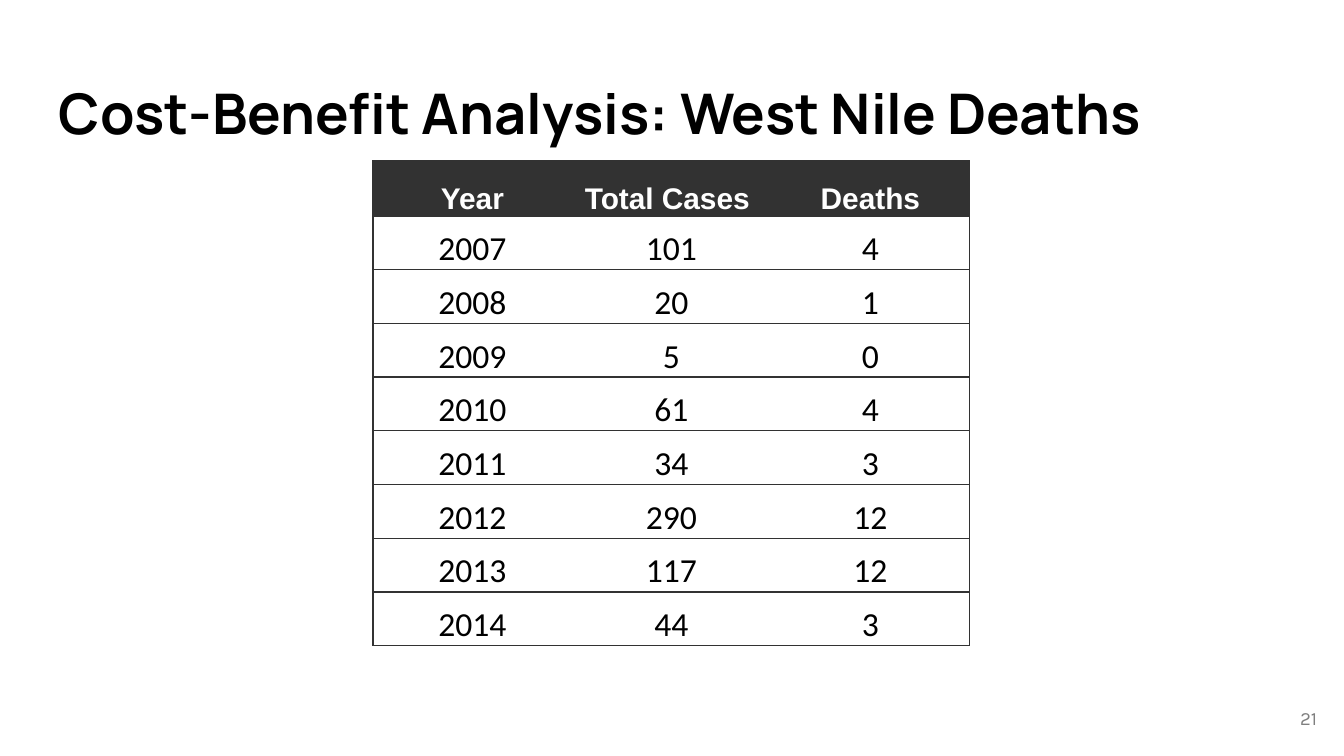
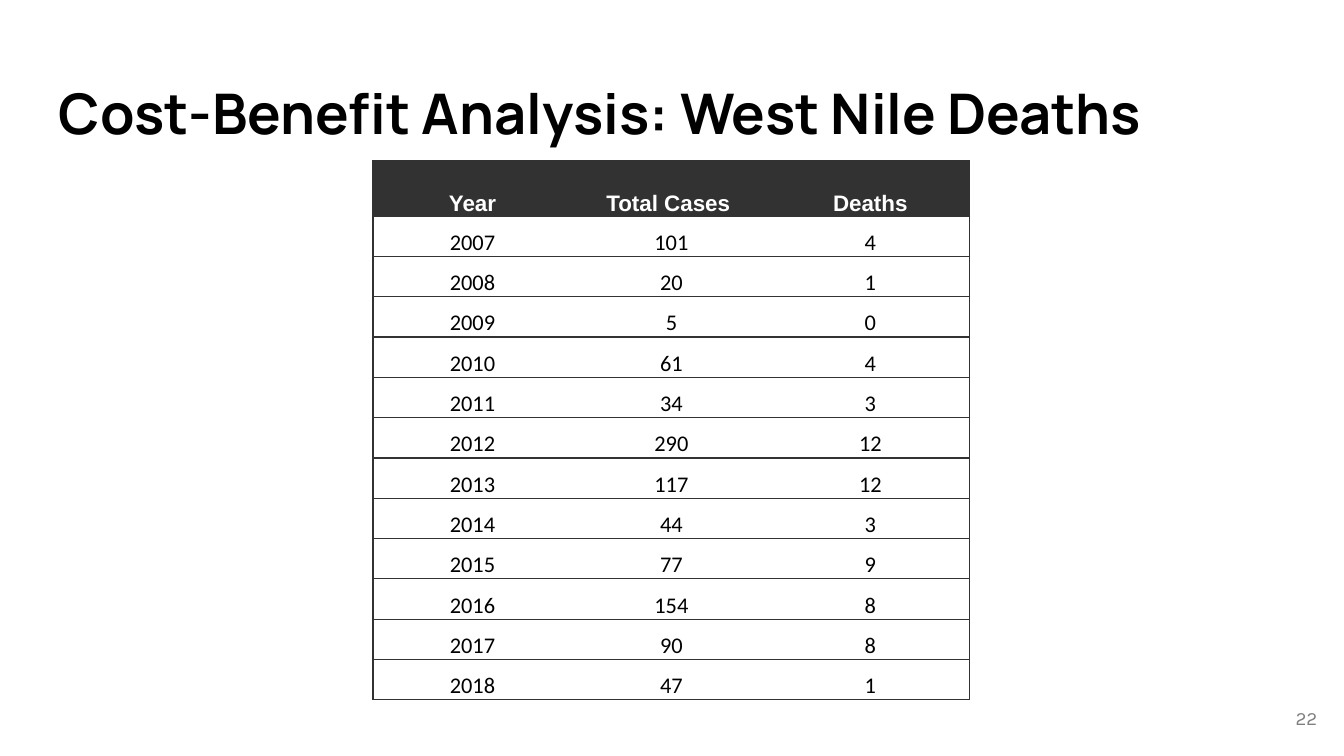
from lxml.etree import SubElement
from pptx import Presentation
from pptx.dml.color import RGBColor
from pptx.enum.text import MSO_ANCHOR as Anchor, PP_ALIGN as Align
from pptx.oxml.ns import qn
from pptx.util import Pt

TITLE = "Cost-Benefit Analysis: West Nile Deaths"
HEADINGS = ("Year", "Total Cases ", "Deaths")
CASES = [
    (2007, 101, 4), (2008, 20, 1), (2009, 5, 0), (2010, 61, 4),
    (2011, 34, 3), (2012, 290, 12), (2013, 117, 12), (2014, 44, 3),
    (2015, 77, 9), (2016, 154, 8), (2017, 90, 8), (2018, 47, 1),
]
SLIDES = [
    {"number": 21, "last_year": 2014, "height": 485, "heading_size": 16, "case_size": 18},
    {"number": 22, "last_year": 2018, "height": 539, "heading_size": 12, "case_size": 12},
]
COLORS = {"ink": "000000", "paper": "FFFFFF", "dark": "323232", "muted": "7F7F7F"}

SCALE = 914400 / 134.4
SLIDE_SIZE = (1344, 756)
TITLE_BOX = (46, 66, 1252, 91)
NUMBER_BOX = (1249, 689, 81, 58)
TABLE_LEFT, TABLE_TOP = 373, 161
COLUMN_WIDTH, HEADING_HEIGHT = 199, 55
BOX_INSET, CELL_INSET = 13, 1


def px(length):
    return round(length * SCALE)


def write(frame, text, font, size, color="ink", bold=False, align=Align.LEFT):
    paragraph = frame.paragraphs[0]
    paragraph.alignment = align
    run = paragraph.add_run()
    run.text = str(text)
    run.font.name = font
    run.font.size = Pt(size)
    run.font.bold = bold
    run.font.color.rgb = RGBColor.from_string(COLORS[color])


def add_label(slide, box, text, anchor=Anchor.TOP, **style):
    frame = slide.shapes.add_textbox(*map(px, box)).text_frame
    frame.word_wrap = True
    frame.vertical_anchor = anchor
    frame.margin_left = frame.margin_right = px(BOX_INSET)
    frame.margin_top = frame.margin_bottom = px(BOX_INSET)
    write(frame, text, **style)


def set_borders(cell, edges):
    properties = cell._tc.get_or_add_tcPr()
    for edge in "LRTB":
        line = SubElement(properties, qn(f"a:ln{edge}"), w=str(Pt(0.75)))
        if edge in edges:
            fill = SubElement(line, qn("a:solidFill"))
            SubElement(fill, qn("a:srgbClr"), val=COLORS["dark"])
        else:
            SubElement(line, qn("a:noFill"))


def add_case_table(slide, cases, height, heading_size, case_size):
    rows = [HEADINGS, *cases]
    columns = len(HEADINGS)
    table = slide.shapes.add_table(
        len(rows), columns, px(TABLE_LEFT), px(TABLE_TOP),
        px(COLUMN_WIDTH * columns), px(height)).table
    table.first_row = table.horz_banding = False
    for column in table.columns:
        column.width = px(COLUMN_WIDTH)
    case_height = (height - HEADING_HEIGHT) / len(cases)
    heading_style = {"font": "Arial", "size": heading_size, "color": "paper", "bold": True}
    case_style = {"font": "Calibri", "size": case_size}

    for r, values in enumerate(rows):
        is_heading = r == 0
        table.rows[r].height = px(HEADING_HEIGHT if is_heading else case_height)
        for c, value in enumerate(values):
            cell = table.cell(r, c)
            cell.vertical_anchor = Anchor.BOTTOM
            cell.margin_left = cell.margin_right = cell.margin_top = px(CELL_INSET)
            cell.margin_bottom = 0
            set_borders(cell, "TB" + "L" * (c == 0) + "R" * (c == columns - 1))
            if is_heading:
                cell.fill.solid()
                cell.fill.fore_color.rgb = RGBColor.from_string(COLORS["dark"])
            else:
                cell.fill.background()
            write(cell.text_frame, value, align=Align.CENTER,
                  **(heading_style if is_heading else case_style))


def main():
    deck = Presentation()
    deck.slide_width, deck.slide_height = map(px, SLIDE_SIZE)
    for page in SLIDES:
        slide = deck.slides.add_slide(deck.slide_layouts[6])
        add_label(slide, TITLE_BOX, TITLE, font="Manrope", size=30, bold=True)
        cases = [case for case in CASES if case[0] <= page["last_year"]]
        add_case_table(slide, cases, page["height"], page["heading_size"], page["case_size"])
        add_label(slide, NUMBER_BOX, page["number"], anchor=Anchor.MIDDLE,
                  font="Karla", size=10, color="muted", align=Align.RIGHT)
    deck.save("out.pptx")


if __name__ == "__main__":
    main()
